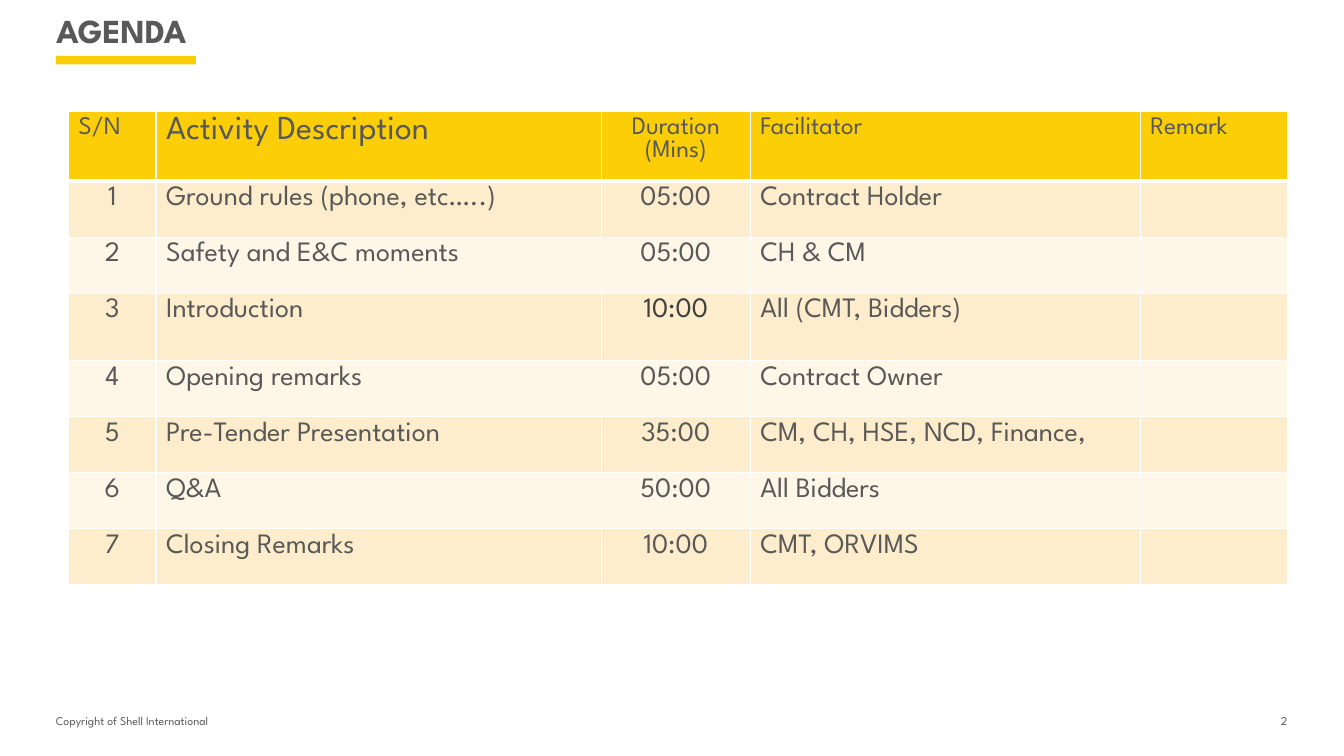
from dataclasses import dataclass

from lxml import etree
from pptx import Presentation
from pptx import util as u
from pptx.dml.color import RGBColor
from pptx.enum import shapes, text
from pptx.oxml.ns import qn

EMU_PER_PX = 6350  # 1920 x 1080 px slide


@dataclass(frozen=True)
class Theme:
    font: str = "League Spartan"
    grey: str = "595959"
    dark: str = "404040"
    yellow: str = "FBCE07"
    bands: tuple = ("FDEDCC", "FEF6E7")
    white: str = "FFFFFF"
    title: int = 24
    header: int = 18
    body: int = 20
    footer: float = 8.5


THEME = Theme()
LEFT, CENTER, RIGHT = text.PP_ALIGN.LEFT, text.PP_ALIGN.CENTER, text.PP_ALIGN.RIGHT

COLUMNS = [  # heading, width, heading size, heading alignment, body alignment
    ("S/N", 125, THEME.header, LEFT, CENTER),
    ("Activity Description", 636, THEME.title, LEFT, LEFT),
    ("Duration\n(Mins)", 213, THEME.header, CENTER, CENTER),
    ("Facilitator", 557, THEME.header, LEFT, LEFT),
    ("Remark", 211, THEME.header, LEFT, LEFT),
]
ACTIVITIES = [
    ("Ground rules (phone, etc…..)", "05:00", "Contract Holder"),
    ("Safety and E&C moments", "05:00", "CH & CM"),
    ("Introduction", "10:00", "All (CMT, Bidders)"),
    ("Opening remarks", "05:00", "Contract Owner"),
    ("Pre-Tender Presentation", "35:00", "CM, CH, HSE, NCD, Finance,"),
    ("Q&A", "50:00", "All Bidders"),
    ("Closing Remarks", "10:00", "CMT, ORVIMS"),
]
HEADER_HEIGHT, ROW_HEIGHT, INTRODUCTION_HEIGHT = 100, 80, 96


def px(value):
    return u.Emu(value * EMU_PER_PX)


def box(*lengths):
    return [px(length) for length in lengths]


def apply(target, values):
    for name, value in values.items():
        setattr(target, name, value)


def paint(part, color):
    part.fill.solid()
    part.fill.fore_color.rgb = RGBColor.from_string(color)


def write(frame, wording, size, align=LEFT, color=THEME.grey, bold=False):
    frame.text = wording
    for paragraph in frame.paragraphs:
        paragraph.alignment = align
        apply(paragraph.font, {"name": THEME.font, "size": u.Pt(size), "bold": bold})
        paragraph.font.color.rgb = RGBColor.from_string(color)


def add_title(slide, wording):
    title = slide.shapes.title
    apply(title, dict(zip(("left", "top", "width", "height"), box(66, 7, 840, 72))))
    paint(title, THEME.white)
    write(title.text_frame, wording, THEME.title, bold=True)
    apply(title.text_frame, {"vertical_anchor": text.MSO_ANCHOR.MIDDLE,
                             "auto_size": text.MSO_AUTO_SIZE.NONE})


def add_bar(slide, *place):
    bar = slide.shapes.add_shape(shapes.MSO_SHAPE.RECTANGLE, *box(*place))
    bar.shadow.inherit = False
    paint(bar, THEME.yellow)
    bar.line.fill.background()


def add_footer(slide, wording, left, width, align):
    frame = slide.shapes.add_textbox(*box(left, 1019, width, 37)).text_frame
    apply(frame, {"word_wrap": True, "margin_left": 0, "margin_right": 0,
                  "margin_top": 0, "margin_bottom": px(7)})
    write(frame, wording, THEME.footer, align)


def style_cell(cell, fill, top, bottom):
    # Borders come before the fill in the cell properties
    properties = cell._tc.get_or_add_tcPr()
    for side, points in (("L", 1), ("R", 1), ("T", top), ("B", bottom)):
        line = etree.SubElement(properties, qn(f"a:ln{side}"), w=str(u.Pt(points)))
        solid = etree.SubElement(line, qn("a:solidFill"))
        etree.SubElement(solid, qn("a:srgbClr"), val=THEME.white)
    paint(cell, fill)


def add_agenda(slide):
    heights = [HEADER_HEIGHT] + [
        INTRODUCTION_HEIGHT if activity[0] == "Introduction" else ROW_HEIGHT
        for activity in ACTIVITIES
    ]
    widths = [column[1] for column in COLUMNS]
    agenda = slide.shapes.add_table(
        len(heights), len(widths), *box(98, 159, sum(widths), sum(heights))).table
    for row, height in zip(agenda.rows, heights):
        row.height = px(height)

    for c, (heading, width, size, heading_align, body_align) in enumerate(COLUMNS):
        agenda.columns[c].width = px(width)
        # Heading
        header = agenda.cell(0, c)
        style_cell(header, THEME.yellow, 1, 3)
        write(header.text_frame, heading, size, heading_align)
        # Activities
        for r, activity in enumerate(ACTIVITIES, start=1):
            cell = agenda.cell(r, c)
            style_cell(cell, THEME.bands[(r - 1) % 2], 3 if r == 1 else 1, 1)
            wording = (str(r), *activity, "")[c]
            is_dark = heading.startswith("Duration") and activity[0] == "Introduction"
            write(cell.text_frame, wording, THEME.body, body_align,
                  THEME.dark if is_dark else THEME.grey)


def main():
    deck = Presentation()
    apply(deck, {"slide_width": px(1920), "slide_height": px(1080)})
    slide = deck.slides.add_slide(deck.slide_layouts[5])

    # Heading
    add_title(slide, "AGENDA")
    add_bar(slide, 80, 80, 200, 12)
    # Agenda table
    add_agenda(slide)
    # Footer
    add_footer(slide, "Copyright of Shell International", 80, 528, LEFT)
    add_footer(slide, "2", 1783, 56, RIGHT)

    deck.save("out.pptx")


if __name__ == "__main__":
    main()
